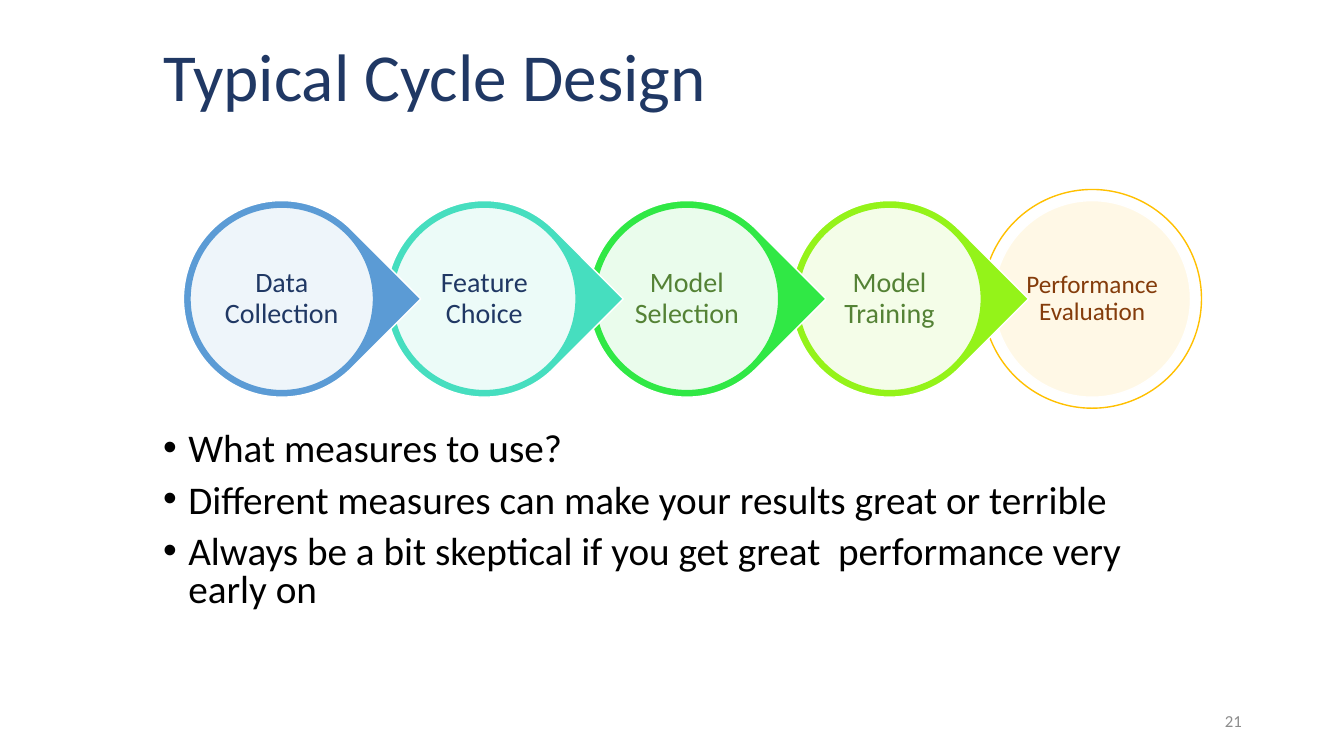
from dataclasses import dataclass

from lxml import etree
from pptx import Presentation
from pptx.dml.color import RGBColor
from pptx.enum.shapes import MSO_SHAPE
from pptx.enum.text import MSO_ANCHOR, PP_ALIGN
from pptx.oxml.ns import qn
from pptx.util import Emu, Inches, Pt

LEFT, CENTER, RIGHT = PP_ALIGN.LEFT, PP_ALIGN.CENTER, PP_ALIGN.RIGHT
TOP, MIDDLE = MSO_ANCHOR.TOP, MSO_ANCHOR.MIDDLE
ELLIPSE, TEARDROP = MSO_SHAPE.OVAL, MSO_SHAPE.TEAR

WHITE = RGBColor(0xFF, 0xFF, 0xFF)
BLACK = RGBColor(0x00, 0x00, 0x00)
GRAY = RGBColor(0x8C, 0x8C, 0x8C)
NAVY = RGBColor(0x20, 0x38, 0x64)
FOREST = RGBColor(0x54, 0x82, 0x35)
BROWN = RGBColor(0x84, 0x3C, 0x0B)
BLUE = RGBColor(0x5B, 0x9B, 0xD5)
TURQUOISE = RGBColor(0x46, 0xDE, 0xBF)
GREEN = RGBColor(0x30, 0xE8, 0x45)
LIME = RGBColor(0x94, 0xF3, 0x19)
AMBER = RGBColor(0xFF, 0xC0, 0x00)

FONT = "Calibri"
SLIDE_WIDTH, SLIDE_HEIGHT = Inches(13.333), Inches(7.5)
COLUMNS, ROWS = 160, 90
FIRST_CENTER, CENTER_ROW, STAGE_PITCH = 33.54, 35.58, 24.12
DISC_SIZE = 23.4


@dataclass(frozen=True)
class Area:
    column: float
    row: float
    width: float
    height: float


@dataclass(frozen=True)
class Stage:
    label: str
    color: RGBColor
    text_color: RGBColor
    disc: MSO_SHAPE = TEARDROP
    rotation: float = 45
    ring_size: float = 21.84
    label_size: float = 15.6
    points: float = 20


STAGES = [
    Stage("Data Collection", BLUE, NAVY),
    Stage("Feature Choice", TURQUOISE, NAVY),
    Stage("Model Selection", GREEN, FOREST),
    Stage("Model Training", LIME, FOREST),
    Stage("Performance Evaluation", AMBER, BROWN, ELLIPSE, 0, 26.04, 18.6, 18),
]
QUESTIONS = [
    "What measures to use?",
    "Different measures can make your results great or terrible",
    "Always be a bit skeptical if you get great  performance very early on",
]
TITLE_AREA = Area(18.24, 0.84, 122.04, 17.4)
BODY_AREA = Area(18.24, 19.68, 122.04, 61.44)
NUMBER_AREA = Area(113.04, 83.4, 36, 4.8)


def across(columns: float) -> Emu:
    return Emu(round(SLIDE_WIDTH * columns / COLUMNS))


def down(rows: float) -> Emu:
    return Emu(round(SLIDE_HEIGHT * rows / ROWS))


def bounds(area: Area) -> tuple[Emu, Emu, Emu, Emu]:
    return across(area.column), down(area.row), across(area.width), down(area.height)


def centered(column: float, size: float) -> Area:
    return Area(column - size / 2, CENTER_ROW - size / 2, size, size)


def add_bullet(para) -> None:
    properties = para._p.get_or_add_pPr()
    properties.set("marL", str(across(3)))
    properties.set("indent", str(-across(3)))
    font = etree.SubElement(properties, qn("a:buFont"))
    font.set("typeface", "Arial")
    etree.SubElement(properties, qn("a:buChar")).set("char", "•")


def write(box, lines: list[str], *, size: float, color: RGBColor,
          align: PP_ALIGN = LEFT, anchor: MSO_ANCHOR = MIDDLE,
          line_spacing: float = 1.0, space_before: float = 0,
          bullets: bool = False) -> None:
    frame = box.text_frame
    frame.word_wrap = True
    frame.vertical_anchor = anchor
    for index, line in enumerate(lines):
        para = frame.paragraphs[0] if index == 0 else frame.add_paragraph()
        para.alignment = align
        para.line_spacing = line_spacing
        para.space_before = Pt(space_before)
        if bullets:
            add_bullet(para)
        span = para.add_run()
        span.text = line
        span.font.name = FONT
        span.font.size = Pt(size)
        span.font.color.rgb = color


def add_round(page, kind: MSO_SHAPE, area: Area, fill: RGBColor,
              line: RGBColor, opacity: int = 100, rotation: float = 0) -> None:
    shape = page.shapes.add_shape(kind, *bounds(area))
    shape.shadow.inherit = False
    shape.rotation = rotation
    shape.fill.solid()
    shape.fill.fore_color.rgb = fill
    shape.line.color.rgb = line
    shape.line.width = Pt(1)
    if opacity < 100:
        color = shape._element.spPr.find(qn("a:solidFill"))[0]
        etree.SubElement(color, qn("a:alpha")).set("val", str(opacity * 1000))


def add_stage(page, stage: Stage, column: float) -> None:
    add_round(page, stage.disc, centered(column, DISC_SIZE), stage.color, WHITE,
              rotation=stage.rotation)
    add_round(page, ELLIPSE, centered(column, stage.ring_size), WHITE, stage.color,
              opacity=90)
    box = page.shapes.add_textbox(*bounds(centered(column, stage.label_size)))
    frame = box.text_frame
    frame.margin_left = frame.margin_right = across(0.36)
    frame.margin_top = frame.margin_bottom = down(0.36)
    write(box, [stage.label], size=stage.points, color=stage.text_color,
          align=CENTER, line_spacing=0.9)


def main() -> None:
    deck = Presentation()
    deck.slide_width, deck.slide_height = SLIDE_WIDTH, SLIDE_HEIGHT
    page = deck.slides.add_slide(deck.slide_layouts[5])

    title = page.shapes.title
    title.left, title.top, title.width, title.height = bounds(TITLE_AREA)
    write(title, ["Typical Cycle Design"], size=48, color=NAVY, line_spacing=0.9)

    body = page.shapes.add_textbox(*bounds(BODY_AREA))
    body.text_frame.margin_top = down(31.8)
    write(body, QUESTIONS, size=28, color=BLACK, anchor=TOP, line_spacing=0.8,
          space_before=10, bullets=True)

    number = page.shapes.add_textbox(*bounds(NUMBER_AREA))
    write(number, ["21"], size=12, color=GRAY, align=RIGHT)

    for index, stage in reversed(list(enumerate(STAGES))):
        add_stage(page, stage, FIRST_CENTER + index * STAGE_PITCH)

    deck.save("out.pptx")


if __name__ == "__main__":
    main()
